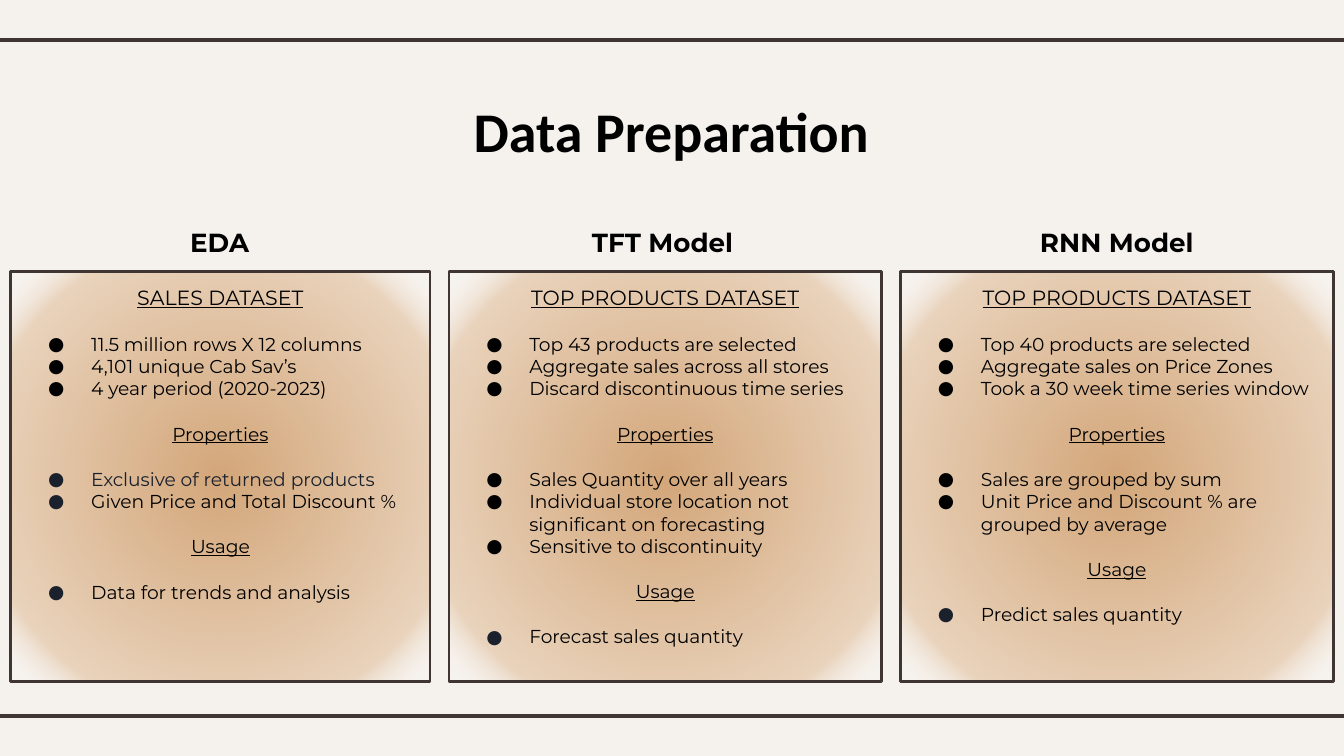
from lxml import etree
from pptx import Presentation
from pptx import util as u
from pptx.dml.color import RGBColor
from pptx.enum import shapes, text
from pptx.oxml import parse_xml
from pptx.oxml.ns import nsdecls, qn

Inches, Pt = u.Inches, u.Pt
CENTER, LEFT = text.PP_ALIGN.CENTER, text.PP_ALIGN.LEFT
COLORS = {"paper": "F5F2EE", "rule": "3F3533", "ink": "000000", "navy": "1B212C",
          "core": "D3A679", "rim": "E9D3BC", "edge": "FFFFFF"}
LINE = 12.2  # one line of 10 pt text, in points
PANEL_TOP, PANEL_HEIGHT, GAP = 2.02, 3.05, 0.14

# Each column: label, label left and width, panel width, sections.
# Each section: heading, bullet colour, items.
COLUMNS = [
    ("EDA", 1.02, 1.23, 3.12, [
        ("SALES DATASET", "ink", ["11.5 million rows X 12 columns",
                                  "4,101 unique Cab Sav’s",
                                  "4 year period (2020-2023)"]),
        ("Properties", "navy", [("Exclusive of returned products", "navy"),
                                "Given Price and Total Discount %"]),
        ("Usage", "navy", ["Data for trends and analysis"])]),
    ("TFT Model", 4.23, 1.4, 3.22, [
        ("TOP PRODUCTS DATASET", "ink", ["Top 43 products are selected",
                                         "Aggregate sales across all stores",
                                         "Discard discontinuous time series"]),
        ("Properties", "ink", ["Sales Quantity over all years",
                               "Individual store location not significant on forecasting",
                               "Sensitive to discontinuity"]),
        ("Usage", "navy", ["Forecast sales quantity"])]),
    ("RNN Model", 7.61, 1.4, 3.22, [
        ("TOP PRODUCTS DATASET", "ink", ["Top 40 products are selected",
                                         "Aggregate sales on Price Zones",
                                         "Took a 30 week time series window"]),
        ("Properties", "ink", ["Sales are grouped by sum",
                               "Unit Price and Discount % are grouped by average"]),
        ("Usage", "navy", ["Predict sales quantity"])]),
]


def rgb(name):
    return RGBColor.from_string(COLORS[name])


def add_bullet(p, color, font, size):
    pPr = p._p.get_or_add_pPr()
    pPr.set("marL", str(Inches(0.5)))
    pPr.set("indent", str(Inches(-0.32)))
    clr = etree.SubElement(pPr, qn("a:buClr"))
    etree.SubElement(clr, qn("a:srgbClr"), val=COLORS[color])
    etree.SubElement(pPr, qn("a:buSzPts"), val=str(size * 100))
    etree.SubElement(pPr, qn("a:buFont"), typeface=font)
    etree.SubElement(pPr, qn("a:buChar"), char="●")


def write(tf, content, size=10, font="Montserrat", color="ink", bold=False,
          underline=False, align=CENTER, before=0, after=0, bullet=None):
    """Write a paragraph, reusing the first one while the frame is empty."""
    p = tf.add_paragraph() if tf.text else tf.paragraphs[0]
    p.alignment = align
    p.space_before, p.space_after = Pt(before), Pt(after)
    if bullet:
        add_bullet(p, bullet, font, size)
    r = p.add_run()
    r.text = content
    f = r.font
    f.name, f.size, f.bold, f.underline = font, Pt(size), bold, underline
    f.color.rgb = rgb(color)


def set_frame(tf, anchor):
    tf.word_wrap = True
    tf.auto_size = text.MSO_AUTO_SIZE.NONE
    tf.vertical_anchor = anchor
    tf.margin_left = tf.margin_right = tf.margin_top = tf.margin_bottom = Inches(0.1)


def add_rule(s, y):
    line = s.shapes.add_connector(shapes.MSO_CONNECTOR.STRAIGHT, Inches(-0.08),
                                  Inches(y), Inches(10.08), Inches(y))
    line.line.color.rgb = rgb("rule")
    line.line.width = Pt(2.25)
    etree.SubElement(line._element.spPr, qn("a:effectLst"))


def add_title(s, content):
    sp = s.shapes.title
    sp.left, sp.top, sp.width, sp.height = map(Inches, (1.89, 0.65, 6.21, 0.63))
    set_frame(sp.text_frame, text.MSO_ANCHOR.MIDDLE)
    write(sp.text_frame, content, size=30, font="Calibri", bold=True)


def add_label(s, content, x, w):
    tf = s.shapes.add_textbox(Inches(x), Inches(1.66), Inches(w), Inches(0.28)).text_frame
    set_frame(tf, text.MSO_ANCHOR.MIDDLE)
    write(tf, content, size=14, bold=True)


def fill_radial(sp):
    """Glow from the centre that fades out at the corners."""
    sp.fill.solid()
    solid = sp._element.spPr.find(qn("a:solidFill"))
    grad = parse_xml(
        f'<a:gradFill {nsdecls("a")}><a:gsLst>'
        f'<a:gs pos="0"><a:srgbClr val="{COLORS["core"]}"/></a:gs>'
        f'<a:gs pos="82000"><a:srgbClr val="{COLORS["rim"]}"/></a:gs>'
        f'<a:gs pos="100000"><a:srgbClr val="{COLORS["edge"]}"><a:alpha val="0"/></a:srgbClr></a:gs>'
        '</a:gsLst><a:path path="circle">'
        '<a:fillToRect l="50000" t="50000" r="50000" b="50000"/></a:path></a:gradFill>')
    solid.getparent().replace(solid, grad)


def add_panel(s, x, w, sections):
    sp = s.shapes.add_shape(shapes.MSO_SHAPE.RECTANGLE, Inches(x), Inches(PANEL_TOP),
                            Inches(w), Inches(PANEL_HEIGHT))
    sp.shadow.inherit = False
    fill_radial(sp)
    sp.line.color.rgb = rgb("rule")
    sp.line.width = Pt(1.5)
    tf = sp.text_frame
    set_frame(tf, text.MSO_ANCHOR.TOP)
    for i, (heading, bullet, items) in enumerate(sections):
        write(tf, heading, size=10 if i else 11, underline=True,
              before=LINE if i else 0, after=LINE)
        for item in items:
            content, color = item if isinstance(item, tuple) else (item, "ink")
            write(tf, content, color=color, align=LEFT, bullet=bullet)


def main():
    prs = Presentation()
    prs.slide_width, prs.slide_height = Inches(10), Inches(10 * 9 / 16)
    s = prs.slides.add_slide(prs.slide_layouts[5])
    s.background.fill.solid()
    s.background.fill.fore_color.rgb = rgb("paper")

    # Frame rules and title
    for y in (5.33, 0.3):
        add_rule(s, y)
    add_title(s, "Data Preparation")

    # Columns
    x = 0.08
    for label, label_x, label_w, w, sections in COLUMNS:
        add_panel(s, x, w, sections)
        add_label(s, label, label_x, label_w)
        x += w + GAP

    prs.save("out.pptx")


if __name__ == "__main__":
    main()
